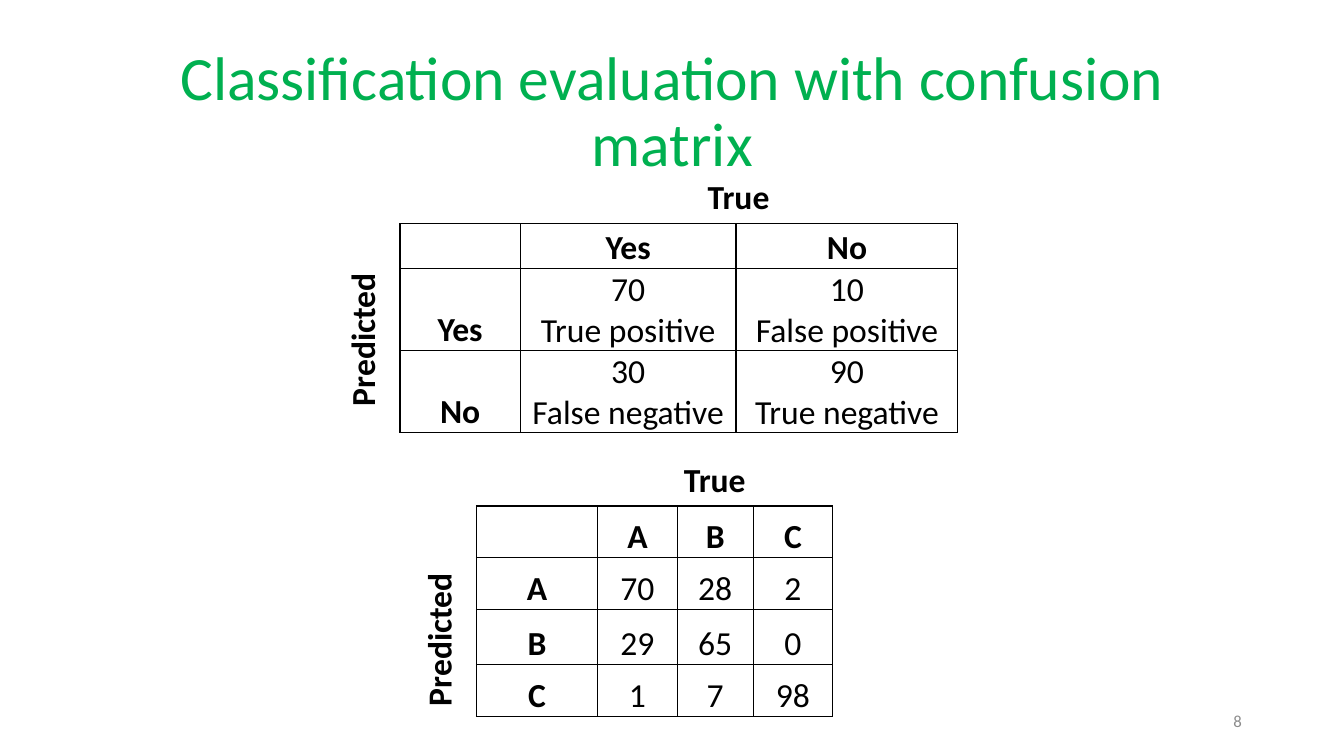
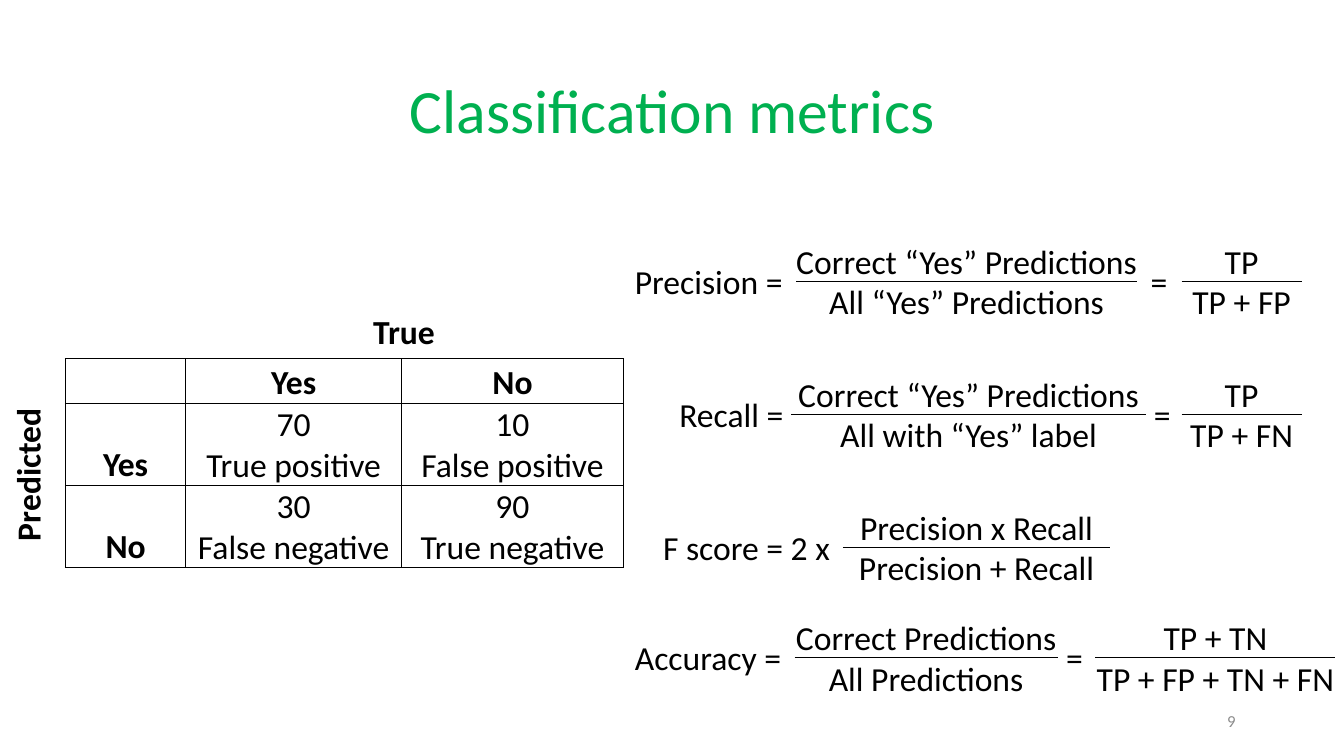
from lxml import etree
from pptx import Presentation
from pptx.dml.color import RGBColor
from pptx.enum.shapes import MSO_CONNECTOR
from pptx.enum.text import MSO_ANCHOR, MSO_AUTO_SIZE, PP_ALIGN
from pptx.oxml.ns import qn
from pptx.util import Cm, Pt

FONT = "Calibri"
GREEN, BLACK, GREY = "00B050", "000000", "8C8C8C"
TITLE_SIZE, BODY_SIZE, NUMBER_SIZE = 44, 24, 12
LINE_HEIGHT = 1.27
LABEL_GAP = 0.05

# All positions and lengths are in centimetres.
YES_NO = {
    "rows": [
        ["", "Yes", "No"],
        ["Yes", "70\nTrue positive", "10\nFalse positive"],
        ["No", "30\nFalse negative", "90\nTrue negative"],
    ],
    "widths": [3.03, 5.44, 5.59],
    "heights": [1.12, 2.07, 2.07],
    "side_shift": -0.16,
}
THREE_CLASSES = {
    "rows": [
        ["", "A", "B", "C"],
        ["A", "70", "28", "2"],
        ["B", "29", "65", "0"],
        ["C", "1", "7", "98"],
    ],
    "widths": [3.05, 2.01, 1.91, 2.01],
    "heights": [1.3, 1.3, 1.4, 1.3],
    "side_shift": 0.18,
}

# Words: text, left, width. Fractions: numerator, denominator, centre, bar length.
FORMULAS = [
    {
        "bar_y": 7.09,
        "words": [("Precision =", 15.75, 4.27), ("=", 28.75, 0.94)],
        "fractions": [
            ("Correct “Yes” Predictions", "All “Yes” Predictions", 24.36, 8.59),
            ("TP", "TP + FP", 31.29, 3.02),
        ],
    },
    {
        "bar_y": 10.44,
        "words": [("Recall =", 16.87, 3.18), ("=", 28.83, 0.94)],
        "fractions": [
            ("Correct “Yes” Predictions", "All with “Yes” label", 24.41, 8.94),
            ("TP", "TP + FN", 31.29, 3.02),
        ],
    },
    {
        "bar_y": 13.78,
        "words": [("F score = 2 x", 16.46, 4.95)],
        "fractions": [("Precision x Recall", "Precision + Recall", 24.61, 6.73)],
    },
    {
        "bar_y": 16.57,
        "words": [("Accuracy =", 15.75, 4.24), ("=", 26.62, 0.94)],
        "fractions": [
            ("Correct Predictions", "All Predictions", 23.34, 6.63),
            ("TP + TN", "TP + FP + TN + FN", 30.63, 6.05),
        ],
    },
]

SLIDES = [
    {
        "title": "Classification evaluation with confusion matrix",
        "number": ("8", 23.93),
        "matrices": [(YES_NO, 10.08, 5.64), (THREE_CLASSES, 12.01, 12.75)],
        "formulas": [],
    },
    {
        "title": "Classification metrics",
        "number": ("9", 23.77),
        "matrices": [(YES_NO, 1.65, 9.04)],
        "formulas": FORMULAS,
    },
]


def color(hex_string):
    return RGBColor.from_string(hex_string)


def format_text(text_frame, size=BODY_SIZE, hex_color=BLACK, bold=False, align=PP_ALIGN.LEFT):
    for paragraph in text_frame.paragraphs:
        paragraph.alignment = align
        for run in paragraph.runs:
            font = run.font
            font.name, font.size, font.bold = FONT, Pt(size), bold
            font.color.rgb = color(hex_color)


def add_text(slide, text, left, top, width, height, **style):
    shape = slide.shapes.add_textbox(Cm(left), Cm(top), Cm(width), Cm(height))
    shape.text_frame.text = text
    shape.text_frame.word_wrap = False
    format_text(shape.text_frame, **style)
    return shape


def add_title(slide, text):
    title = slide.shapes.title
    title.left, title.top, title.width, title.height = Cm(2.34), Cm(1.02), Cm(29.21), Cm(3.68)
    text_frame = title.text_frame
    text_frame.text = text
    text_frame.auto_size = MSO_AUTO_SIZE.NONE
    text_frame.vertical_anchor = MSO_ANCHOR.MIDDLE
    text_frame.paragraphs[0].line_spacing = 0.9
    format_text(text_frame, TITLE_SIZE, GREEN, align=PP_ALIGN.CENTER)


def add_slide_number(slide, text, left):
    shape = add_text(slide, text, left, 17.65, 7.62, 1.02,
                     size=NUMBER_SIZE, hex_color=GREY, align=PP_ALIGN.RIGHT)
    shape.text_frame.word_wrap = True
    shape.text_frame.vertical_anchor = MSO_ANCHOR.MIDDLE


def add_borders(cell):
    properties = cell._tc.get_or_add_tcPr()
    for side in ("a:lnL", "a:lnR", "a:lnT", "a:lnB"):
        line = etree.SubElement(properties, qn(side), w=str(Pt(1)))
        fill = etree.SubElement(line, qn("a:solidFill"))
        etree.SubElement(fill, qn("a:srgbClr"), val=BLACK)


def format_cell(cell, text, bold):
    add_borders(cell)
    cell.fill.background()
    cell.margin_left = cell.margin_right = cell.margin_top = Cm(0.03)
    cell.margin_bottom = 0
    cell.vertical_anchor = MSO_ANCHOR.BOTTOM
    cell.text_frame.text = text
    format_text(cell.text_frame, bold=bold, align=PP_ALIGN.CENTER)


def add_matrix(slide, matrix, left, top):
    """Add a table with its axis labels centred on the data cells."""
    rows, widths, heights = matrix["rows"], matrix["widths"], matrix["heights"]
    width, height = sum(widths), sum(heights)
    table = slide.shapes.add_table(
        len(rows), len(widths), Cm(left), Cm(top), Cm(width), Cm(height)).table
    table.first_row = table.horz_banding = False
    for column, column_width in zip(table.columns, widths):
        column.width = Cm(column_width)
    for row, row_height in zip(table.rows, heights):
        row.height = Cm(row_height)
    for i, texts in enumerate(rows):
        for j, text in enumerate(texts):
            format_cell(table.cell(i, j), text, bold=i == 0 or j == 0)

    label_width, side_width, side_height = 2.08, 1.55, 3.63
    center_x = left + (widths[0] + width) / 2
    center_y = top + (heights[0] + height) / 2 + matrix["side_shift"]
    add_text(slide, "True", center_x - label_width / 2, top - LINE_HEIGHT - LABEL_GAP,
             label_width, LINE_HEIGHT, bold=True)
    side = add_text(slide, "Predicted", left - side_width - LABEL_GAP,
                    center_y - side_height / 2, side_width, side_height, bold=True)
    side.element.txBody.bodyPr.set("vert", "vert270")


def add_bar(slide, center, length, y):
    bar = slide.shapes.add_connector(
        MSO_CONNECTOR.STRAIGHT,
        Cm(center - length / 2), Cm(y), Cm(center + length / 2), Cm(y))
    bar.line.color.rgb = color(BLACK)
    bar.line.width = Pt(0.5)
    etree.SubElement(bar.element.spPr, qn("a:effectLst"))


def add_formula(slide, formula):
    bar_y = formula["bar_y"]
    for text, left, width in formula["words"]:
        add_text(slide, text, left, bar_y - LINE_HEIGHT / 2, width, LINE_HEIGHT)
    for numerator, denominator, center, length in formula["fractions"]:
        width = length + 0.5
        add_text(slide, f"{numerator}\n{denominator}", center - width / 2, bar_y - 1.14,
                 width, 2.31, align=PP_ALIGN.CENTER)
        add_bar(slide, center, length, bar_y)


def main():
    presentation = Presentation()
    presentation.slide_width, presentation.slide_height = Cm(33.87), Cm(19.05)
    title_only = presentation.slide_layouts[5]
    for content in SLIDES:
        slide = presentation.slides.add_slide(title_only)
        add_title(slide, content["title"])
        add_slide_number(slide, *content["number"])
        for matrix, left, top in content["matrices"]:
            add_matrix(slide, matrix, left, top)
        for formula in content["formulas"]:
            add_formula(slide, formula)
    presentation.save("out.pptx")


if __name__ == "__main__":
    main()
